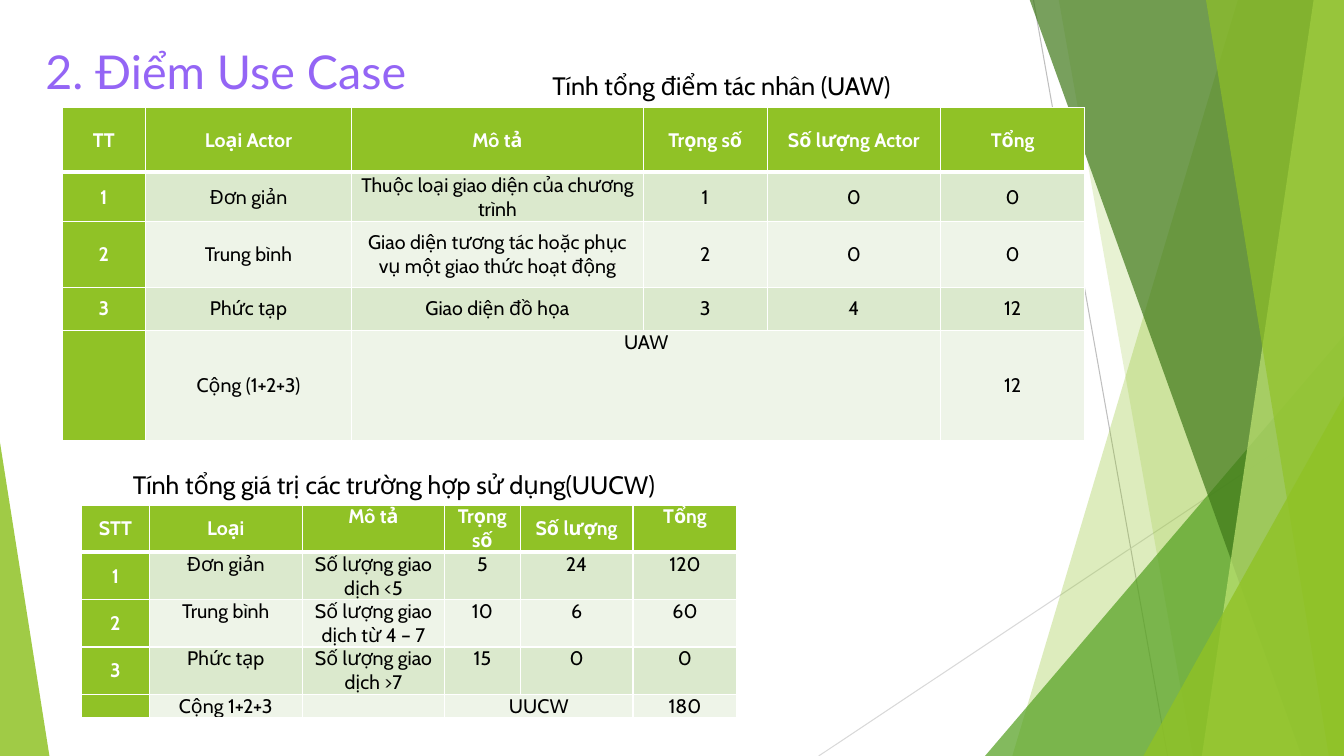
from lxml import etree
from pptx import Presentation
from pptx.dml.color import RGBColor
from pptx.enum.shapes import MSO_CONNECTOR, MSO_SHAPE
from pptx.enum.text import MSO_ANCHOR, MSO_AUTO_SIZE, PP_ALIGN
from pptx.oxml.ns import qn
from pptx.util import Inches, Pt

STRAIGHT = MSO_CONNECTOR.STRAIGHT
TRIANGLE = MSO_SHAPE.ISOSCELES_TRIANGLE
TOP, MIDDLE = MSO_ANCHOR.TOP, MSO_ANCHOR.MIDDLE
CENTER, LEFT = PP_ALIGN.CENTER, PP_ALIGN.LEFT
NO_FIT = MSO_AUTO_SIZE.NONE

WHITE = RGBColor(0xFF, 0xFF, 0xFF)
BLACK = RGBColor(0x00, 0x00, 0x00)
PURPLE = RGBColor(0x94, 0x65, 0xF5)
LIME = RGBColor(0x90, 0xC2, 0x26)
GREEN = RGBColor(0x54, 0xA0, 0x21)
FOREST = RGBColor(0x3F, 0x78, 0x19)
PALE_LIME = RGBColor(0xC0, 0xE4, 0x74)
BAND_DARK = RGBColor(0xDB, 0xE9, 0xCD)
BAND_LIGHT = RGBColor(0xEE, 0xF4, 0xE8)
GRAY = RGBColor(0xBF, 0xBF, 0xBF)
LIGHT_GRAY = RGBColor(0xD9, 0xD9, 0xD9)

WIDTH, HEIGHT = 13.33, 7.5


class Deck:
    title_font, body_font = "Lato", "Cabin"
    cell_size, caption_size, title_size = Pt(14), Pt(18), Pt(33.3)

    def __init__(self):
        self.prs = Presentation()
        self.prs.slide_width, self.prs.slide_height = Inches(WIDTH), Inches(HEIGHT)
        self.s = self.prs.slides.add_slide(self.prs.slide_layouts[5])

    def style(self, p, font, size, color, bold=False):
        for r in p.runs:
            r.font.name, r.font.size, r.font.bold = font, size, bold
            r.font.color.rgb = color

    def paint(self, sp, color, alpha):
        sp.shadow.inherit = False
        sp.line.fill.background()
        sp.fill.solid()
        sp.fill.fore_color.rgb = color
        clr = sp.fill._xPr.find(qn("a:solidFill"))[0]
        etree.SubElement(clr, qn("a:alpha"), val=str(alpha * 1000))

    def line(self, x1, y1, x2, y2, color):
        c = self.s.shapes.add_connector(
            STRAIGHT, Inches(x1), Inches(y1), Inches(x2), Inches(y2))
        c.line.color.rgb, c.line.width = color, Pt(0.75)
        etree.SubElement(c._element.spPr, qn("a:effectLst"))

    def shard(self, top_x, bottom_x, color, alpha):
        fb = self.s.shapes.build_freeform(Inches(top_x), Inches(-0.01))
        corners = [(WIDTH, -0.01), (WIDTH, HEIGHT), (bottom_x, HEIGHT)]
        fb.add_line_segments([(Inches(x), Inches(y)) for x, y in corners])
        self.paint(fb.convert_to_shape(), color, alpha)

    def triangle(self, x, y, w, apex, color, alpha):
        sp = self.s.shapes.add_shape(
            TRIANGLE, Inches(x), Inches(y), Inches(w), Inches(HEIGHT - y))
        sp.adjustments[0] = apex
        self.paint(sp, color, alpha)

    def title(self, text, x, y, w, h):
        sp = self.s.shapes.title
        sp.left, sp.top, sp.width, sp.height = map(Inches, (x, y, w, h))
        tf = sp.text_frame
        tf.text = text
        tf.auto_size, tf.vertical_anchor = NO_FIT, MIDDLE
        tf.paragraphs[0].alignment = LEFT
        self.style(tf.paragraphs[0], self.title_font, self.title_size, PURPLE)
        self.s.shapes._spTree.append(sp._element)

    def caption(self, text, x, y):
        sp = self.s.shapes.add_textbox(Inches(x), Inches(y), Inches(6.67), Inches(0.4))
        tf = sp.text_frame
        tf.word_wrap = True
        tf.text = text
        p = tf.paragraphs[0]
        p.level = 1
        p._p.get_or_add_pPr().set("marL", str(Inches(0.5)))
        self.style(p, self.body_font, self.caption_size, BLACK)

    def borders(self, cell, bottom):
        tcPr = cell._tc.get_or_add_tcPr()
        for side, width in (("L", 1), ("R", 1), ("T", 1), ("B", bottom)):
            ln = etree.SubElement(tcPr, qn("a:ln" + side), w=str(Pt(width)))
            fill = etree.SubElement(ln, qn("a:solidFill"))
            etree.SubElement(fill, qn("a:srgbClr"), val=str(WHITE))

    def cell(self, cell, text, row, col, anchor):
        head = row == 0 or col == 0
        self.borders(cell, 3 if row == 0 else 1)
        cell.fill.solid()
        cell.fill.fore_color.rgb = LIME if head else BAND_DARK if row % 2 else BAND_LIGHT
        cell.margin_left = cell.margin_right = Inches(0.07)
        cell.margin_top = cell.margin_bottom = 0
        cell.vertical_anchor = anchor
        cell.text_frame.text = text
        p = cell.text_frame.paragraphs[0]
        p.alignment = CENTER
        p.space_before = p.space_after = Pt(6)
        self.style(p, self.body_font, self.cell_size, WHITE if head else BLACK, head)
        if not text:
            etree.SubElement(p._p, qn("a:endParaRPr"), sz="1400")

    def table(self, x, y, widths, heights, rows, span, top_cells):
        frame = self.s.shapes.add_table(
            len(rows), len(widths), Inches(x), Inches(y),
            Inches(sum(widths)), Inches(sum(heights)))
        tbl = frame.table
        tbl.first_col = True
        for column, width in zip(tbl.columns, widths):
            column.width = Inches(width)
        for row, height in zip(tbl.rows, heights):
            row.height = Inches(height)
        for i, row in enumerate(rows):
            for j, text in enumerate(row):
                anchor = TOP if (i, j) in top_cells else MIDDLE
                self.cell(tbl.cell(i, j), text, i, j, anchor)
        last = len(rows) - 1
        tbl.cell(last, span[0]).merge(tbl.cell(last, span[1]))


def main():
    deck = Deck()
    deck.line(10.25, 0, 11.58, HEIGHT, GRAY)
    deck.line(WIDTH, 4.03, 8.12, HEIGHT, LIGHT_GRAY)
    deck.shard(12.28, 10.04, LIME, 30)
    deck.shard(10.5, 11.83, LIME, 20)
    deck.triangle(9.77, 3.33, 3.56, 1, GREEN, 72)
    deck.shard(10.21, 12.91, FOREST, 70)
    deck.shard(13.03, 11.92, PALE_LIME, 70)
    deck.shard(11.96, 13.18, LIME, 65)
    deck.triangle(11.34, 3.93, 1.99, 1, LIME, 80)
    deck.triangle(0, 4.39, 0.49, 0, LIME, 85)

    deck.title("2. Điểm Use Case", 0.35, 0.37, 6.67, 0.66)
    deck.caption("Tính tổng điểm tác nhân (UAW)", 4.88, 0.65)

    use_cases = [
        ["STT", "Loại", "Mô tả", "Trọng số", "Số lượng", "Tổng"],
        ["1", "Đơn giản", "Số lượng giao dịch <5", "5", "24", "120"],
        ["2", "Trung bình", "Số lượng giao dịch từ 4 – 7", "10", "6", "60"],
        ["3", "Phức tạp", "Số lượng giao dịch >7", "15", "0", "0"],
        ["", "Cộng 1+2+3", "", "UUCW", "", "180"],
    ]
    top_cells = {(i, j) for i in range(1, 5) for j in range(1, 6)} | {(0, 2), (0, 5)}
    deck.table(0.81, 5.01, [0.67, 1.52, 1.41, 0.75, 1.12, 1.03],
               [0.47] * 4 + [0.23], use_cases, (3, 4), top_cells)

    actors = [
        ["TT", "Loại Actor", "Mô tả", "Trọng số", "Số lượng Actor", "Tổng"],
        ["1", "Đơn giản", "Thuộc loại giao diện của chương trình", "1", "0", "0"],
        ["2", "Trung bình", "Giao diện tương tác hoặc phục vụ một giao thức hoạt động",
         "2", "0", "0"],
        ["3", "Phức tạp", "Giao diện đồ họa", "3", "4", "12"],
        ["", "Cộng (1+2+3)", "UAW", "", "", "12"],
    ]
    deck.table(0.62, 1.07, [0.82, 2.05, 2.89, 1.23, 1.72, 1.43],
               [0.64, 0.49, 0.65, 0.43, 1.09], actors, (2, 4), {(4, 2)})
    deck.caption("Tính tổng giá trị các trường hợp sử dụng(UUCW)", 0.72, 4.61)

    deck.prs.save("out.pptx")


if __name__ == "__main__":
    main()
